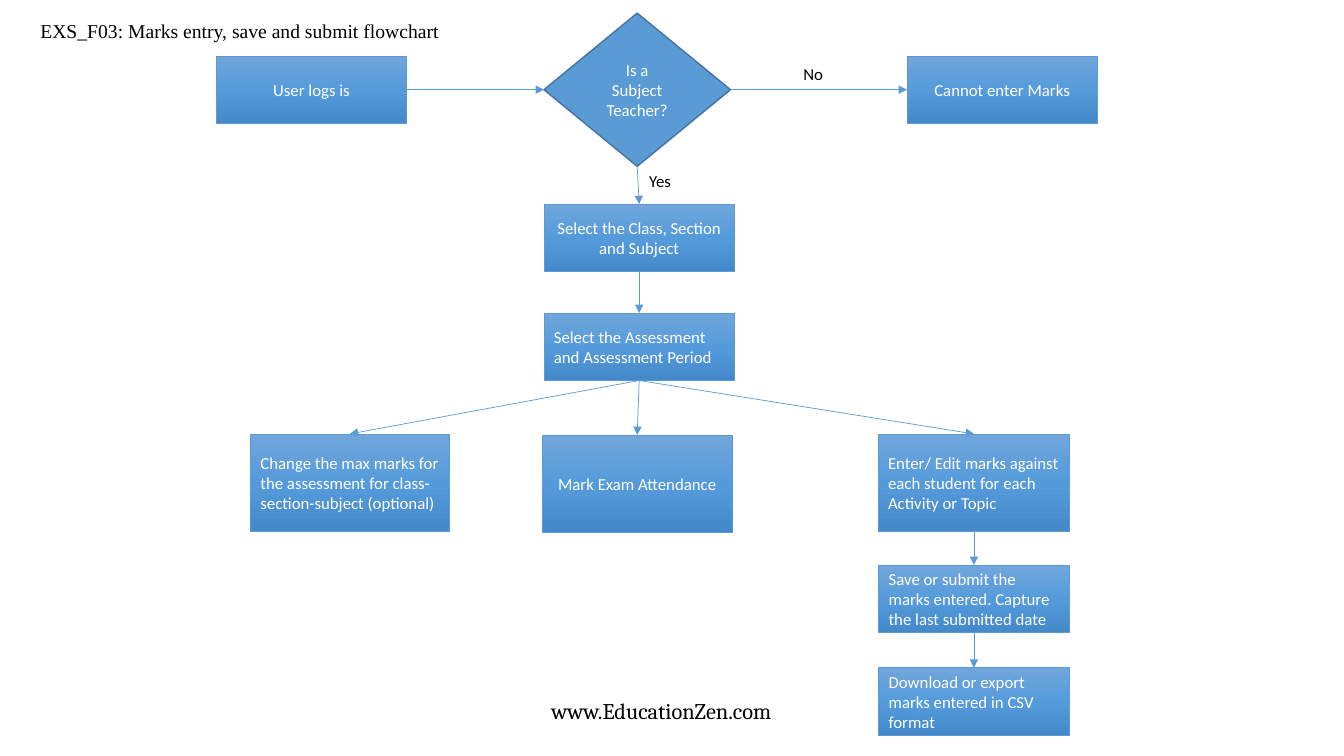
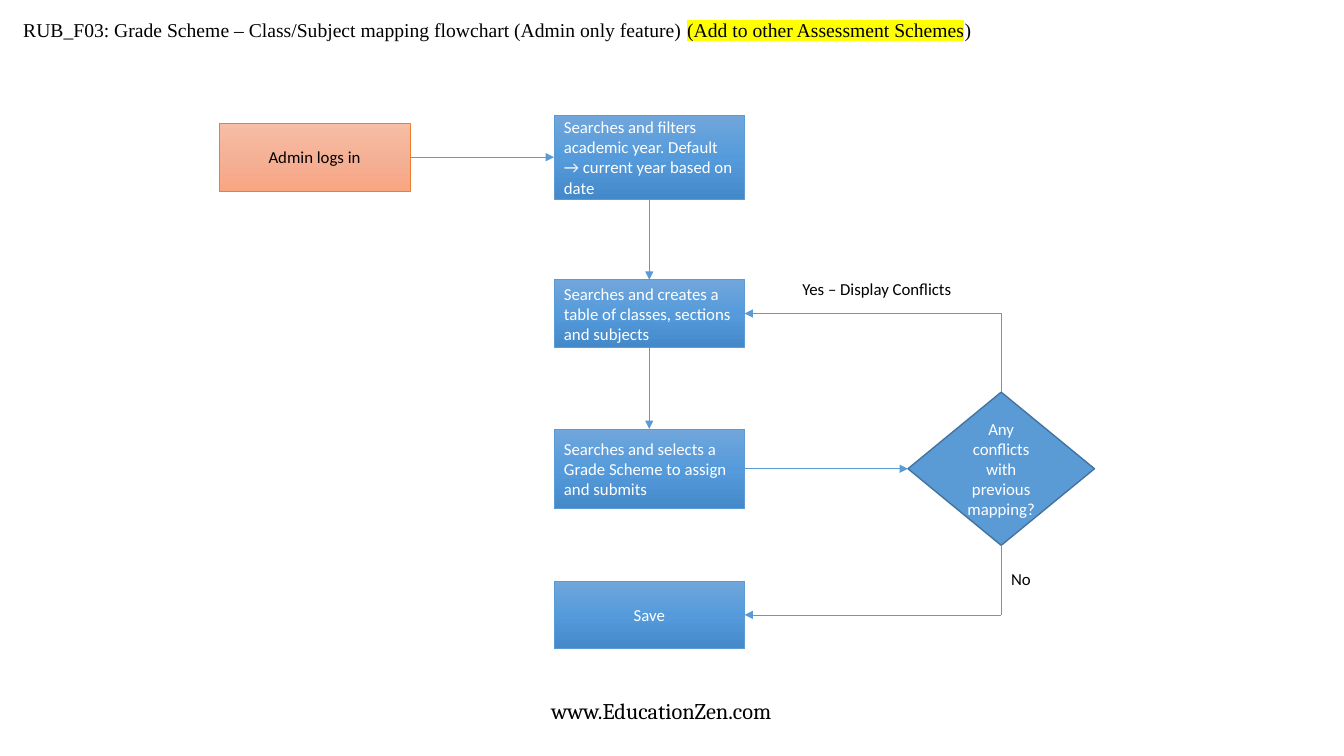
from copy import deepcopy
from dataclasses import dataclass

from lxml import etree
from pptx import Presentation
from pptx.dml.color import RGBColor
from pptx.enum.shapes import MSO_CONNECTOR, MSO_SHAPE
from pptx.enum.text import MSO_ANCHOR, MSO_AUTO_SIZE, PP_ALIGN
from pptx.oxml.ns import qn
from pptx.util import Inches, Pt


@dataclass(frozen=True)
class Theme:
    ink: str = "000000"
    paper: str = "FFFFFF"
    accent: str = "5B9BD5"
    decision_edge: str = "43739E"
    start_edge: str = "ED7D31"
    marker: str = "FFFF00"
    step_fill: tuple = ("71A6DB", "559BDB", "448ACA")
    start_fill: tuple = ("F7BDA5", "F5B196", "F8A582")
    body_font: str = "Calibri"
    title_font: str = "Times New Roman"
    footer_font: str = "Cambria"
    body_size: int = 12
    title_size: int = 14
    footer_size: int = 16
    thin: float = 0.5
    edge: float = 1


THEME = Theme()
TOP, LEFT, BOTTOM, RIGHT = range(4)
STEP_SIZE = (1.89, 0.67)
DECISION_SIZE = (1.85, 1.52)
FOOTER = ("www.EducationZen.com", (4.75, 6.87, 3, 0.37))

# Node kinds: preset, fill, edge colour, edge width, text colour
KINDS = {
    "step": (MSO_SHAPE.FLOWCHART_PROCESS, THEME.step_fill, THEME.accent, THEME.thin, THEME.paper),
    "start": (MSO_SHAPE.FLOWCHART_PROCESS, THEME.start_fill, THEME.start_edge, THEME.thin, THEME.ink),
    "decision": (MSO_SHAPE.DIAMOND, THEME.accent, THEME.decision_edge, THEME.edge, THEME.paper),
}
CENTER, START = PP_ALIGN.CENTER, PP_ALIGN.LEFT

# Nodes: kind, text, centre, size, alignment
# Links: from, side, to, side; a bent link turns at the crossing of its ends
FLOWS = [
    {
        "title": [("EXS_F03: Marks entry, save and submit flowchart", False)],
        "title_at": (0.3, 0.14, 4.6, 0.34),
        "title_spacing": 1.0,
        "nodes": {
            "login": ("step", "User logs is", (3.09, 0.89), STEP_SIZE, CENTER),
            "teacher": ("decision", "Is a Subject Teacher?", (6.32, 0.89), DECISION_SIZE, CENTER),
            "refused": ("step", "Cannot enter Marks", (9.94, 0.89), STEP_SIZE, CENTER),
            "class": ("step", "Select the Class, Section and Subject", (6.34, 2.36), STEP_SIZE, CENTER),
            "assessment": ("step", "Select the Assessment and Assessment Period",
                           (6.34, 3.44), STEP_SIZE, START),
            "max_marks": ("step", "Change the max marks for the assessment for class-section-subject (optional)",
                          (3.47, 4.79), (1.97, 0.97), START),
            "attendance": ("step", "Mark Exam Attendance", (6.32, 4.8), (1.89, 0.97), CENTER),
            "marks": ("step", "Enter/ Edit marks against each student for each Activity or Topic",
                      (9.66, 4.79), (1.9, 0.97), START),
            "submit": ("step", "Save or submit the marks entered. Capture the last submitted date",
                       (9.66, 5.94), STEP_SIZE, START),
            "export": ("step", "Download or export marks entered in CSV format",
                       (9.66, 6.96), STEP_SIZE, START),
        },
        "links": [
            ("login", RIGHT, "teacher", LEFT),
            ("teacher", RIGHT, "refused", LEFT),
            ("teacher", BOTTOM, "class", TOP),
            ("class", BOTTOM, "assessment", TOP),
            ("assessment", BOTTOM, "max_marks", TOP),
            ("assessment", BOTTOM, "attendance", TOP),
            ("assessment", BOTTOM, "marks", TOP),
            ("marks", BOTTOM, "submit", TOP),
            ("submit", BOTTOM, "export", TOP),
        ],
        "bent_links": [],
        "labels": [("No", (7.87, 0.58, 0.66, 0.3)), ("Yes", (6.34, 1.64, 0.66, 0.3))],
    },
    {
        "title": [
            ("RUB_F03: Grade Scheme – Class/Subject mapping flowchart (Admin only feature) ", False),
            ("(Add to other Assessment Schemes", True),
            (")", False),
        ],
        "title_at": (0.13, 0.09, 10.29, 0.37),
        "title_spacing": 1.15,
        "nodes": {
            "login": ("start", "Admin logs in", (3.12, 1.56), STEP_SIZE, CENTER),
            "year": ("step", "Searches and filters academic year. Default → current year based on date",
                     (6.44, 1.56), (1.89, 0.83), START),
            "table": ("step", "Searches and creates a table of classes, sections and subjects",
                      (6.44, 3.11), STEP_SIZE, START),
            "scheme": ("step", "Searches and selects a Grade Scheme to assign and submits",
                       (6.44, 4.65), (1.89, 0.79), START),
            "conflicts": ("decision", "Any conflicts with previous mapping?",
                          (9.93, 4.65), DECISION_SIZE, CENTER),
            "save": ("step", "Save", (6.44, 6.1), STEP_SIZE, CENTER),
        },
        "links": [
            ("login", RIGHT, "year", LEFT),
            ("year", BOTTOM, "table", TOP),
            ("table", BOTTOM, "scheme", TOP),
            ("scheme", RIGHT, "conflicts", LEFT),
        ],
        "bent_links": [
            ("conflicts", TOP, "table", RIGHT),
            ("conflicts", BOTTOM, "save", RIGHT),
        ],
        "labels": [
            ("Yes – Display Conflicts", (7.86, 2.72, 1.89, 0.3)),
            ("No", (9.93, 5.59, 0.66, 0.3)),
        ],
    },
]


def rgb(value):
    return RGBColor.from_string(value)


def apply(target, values):
    for name, value in values.items():
        setattr(target, name, value)


def place(shape, area):
    apply(shape, dict(zip(("left", "top", "width", "height"), map(Inches, area))))


def write(shape, spans, font, size, color, align=START, anchor=MSO_ANCHOR.TOP, spacing=1.0):
    """Fill a shape with one paragraph of (text, highlighted) spans."""
    frame = shape.text_frame
    apply(frame, {"word_wrap": True, "auto_size": MSO_AUTO_SIZE.NONE, "vertical_anchor": anchor})
    para = frame.paragraphs[0]
    apply(para, {"alignment": align, "line_spacing": spacing})
    for text, highlighted in spans:
        span = para.add_run()
        span.text = text
        apply(span.font, {"name": font, "size": Pt(size)})
        span.font.color.rgb = rgb(color)
        if highlighted:
            highlight = etree.Element(qn("a:highlight"))
            etree.SubElement(highlight, qn("a:srgbClr"), val=THEME.marker)
            span.font.color  # the highlight follows the fill and precedes the typeface
            span._r.xpath("./a:rPr/a:latin")[0].addprevious(highlight)


def add_text(page, text, area, font=THEME.body_font, size=THEME.body_size, align=START):
    box = page.shapes.add_textbox(*map(Inches, area))
    write(box, [(text, False)], font, size, THEME.ink, align)
    return box


def paint(shape, fill):
    """Use a plain colour, or a top-to-bottom gradient of three colours."""
    if isinstance(fill, str):
        shape.fill.solid()
        shape.fill.fore_color.rgb = rgb(fill)
        return
    shape.fill.gradient()
    shape.fill.gradient_angle = 270
    first = shape.element.xpath(".//a:gsLst/a:gs")[0]
    first.addnext(deepcopy(first))
    for index, (stop, color) in enumerate(zip(shape.fill.gradient_stops, fill)):
        stop.position = index / (len(fill) - 1)
        stop.color.rgb = rgb(color)


def add_node(page, kind, text, center, size, align):
    preset, fill, edge, weight, ink = KINDS[kind]
    corner = [middle - extent / 2 for middle, extent in zip(center, size)]
    node = page.shapes.add_shape(preset, *map(Inches, (*corner, *size)))
    node.shadow.inherit = False
    paint(node, fill)
    node.line.color.rgb = rgb(edge)
    node.line.width = Pt(weight)
    write(node, [(text, False)], THEME.body_font, THEME.body_size, ink, align, MSO_ANCHOR.MIDDLE)
    return node


def add_line(page, begin=(0, 0), end=(0, 0), source=None, target=None, arrow=True):
    """Draw a line between points, joined to (node, side) where given."""
    line = page.shapes.add_connector(MSO_CONNECTOR.STRAIGHT, *begin, *end)
    if source:
        line.begin_connect(*source)
    if target:
        line.end_connect(*target)
    line.line.color.rgb = rgb(THEME.accent)
    line.line.width = Pt(THEME.thin)
    if arrow:
        etree.SubElement(line.element.xpath(".//a:ln")[0], qn("a:tailEnd"), type="triangle")
    etree.SubElement(line.element.spPr, qn("a:effectLst"))


def add_flow(page, flow):
    # Title
    title = page.shapes.title
    place(title, flow["title_at"])
    write(title, flow["title"], THEME.title_font, THEME.title_size, THEME.ink,
          spacing=flow["title_spacing"])

    # Steps and decisions
    nodes = {name: add_node(page, *node) for name, node in flow["nodes"].items()}

    # Arrows
    for source, out_side, target, in_side in flow["links"]:
        add_line(page, source=(nodes[source], out_side), target=(nodes[target], in_side))
    for source, out_side, target, in_side in flow["bent_links"]:
        first, last = nodes[source], nodes[target]
        turn = (first.left + first.width // 2, last.top + last.height // 2)
        add_line(page, end=turn, source=(first, out_side), arrow=False)
        add_line(page, begin=turn, target=(last, in_side))

    # Answers
    for text, area in flow["labels"]:
        add_text(page, text, area)


def main():
    deck = Presentation()
    apply(deck, {"slide_width": Inches(13.33), "slide_height": Inches(7.5)})
    layout = deck.slide_layouts[5]
    pages = [deck.slides.add_slide(layout) for _ in FLOWS]

    # Shared footer, moved onto the layout
    footer = add_text(pages[0], *FOOTER, THEME.footer_font, THEME.footer_size, PP_ALIGN.RIGHT)
    footer.element.xpath(".//p:cNvPr")[0].set("id", "20")
    layout.shapes.element.append(footer.element)

    for page, flow in zip(pages, FLOWS):
        add_flow(page, flow)
    deck.save("out.pptx")


if __name__ == "__main__":
    main()
